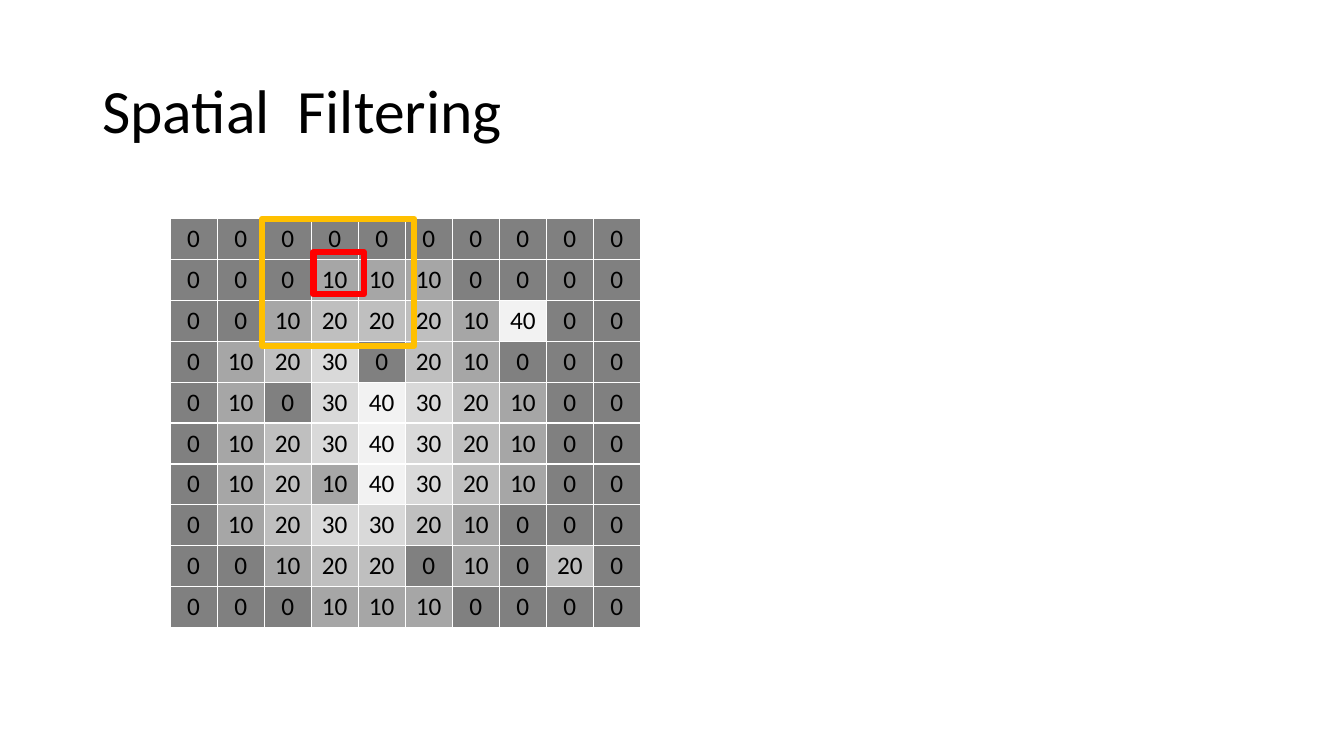
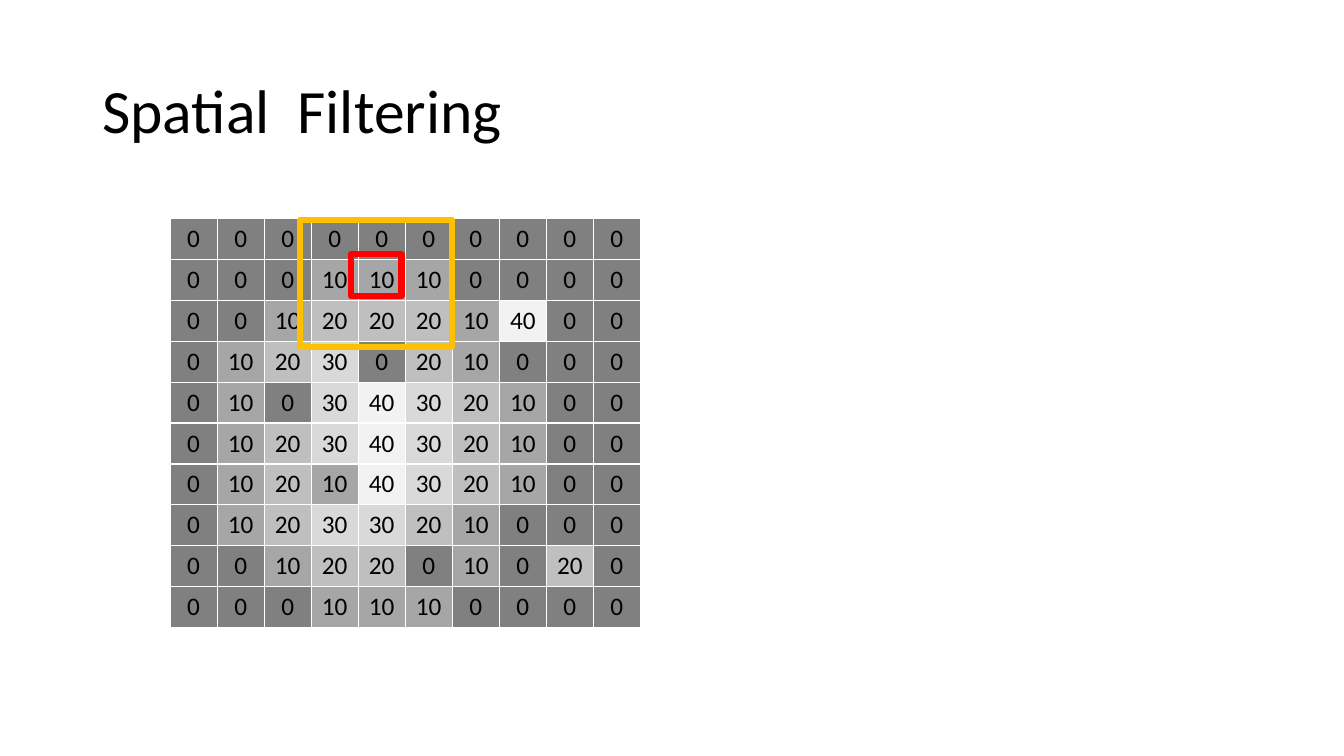
from lxml import etree
from pptx import Presentation
from pptx.dml.color import RGBColor
from pptx.enum import shapes, text
from pptx.oxml import ns
from pptx.util import Pt

FONT = "Calibri"
BLACK = RGBColor(0x00, 0x00, 0x00)
RED = RGBColor(0xFF, 0x00, 0x00)
GOLD = RGBColor(0xFF, 0xC0, 0x00)
GRAYS = {
    0: RGBColor(0x80, 0x80, 0x80),
    10: RGBColor(0xA6, 0xA6, 0xA6),
    20: RGBColor(0xBF, 0xBF, 0xBF),
    30: RGBColor(0xD9, 0xD9, 0xD9),
    40: RGBColor(0xF2, 0xF2, 0xF2),
}
PIXELS = [
    [0, 0, 0, 0, 0, 0, 0, 0, 0, 0],
    [0, 0, 0, 10, 10, 10, 0, 0, 0, 0],
    [0, 0, 10, 20, 20, 20, 10, 40, 0, 0],
    [0, 10, 20, 30, 0, 20, 10, 0, 0, 0],
    [0, 10, 0, 30, 40, 30, 20, 10, 0, 0],
    [0, 10, 20, 30, 40, 30, 20, 10, 0, 0],
    [0, 10, 20, 10, 40, 30, 20, 10, 0, 0],
    [0, 10, 20, 30, 30, 20, 10, 0, 0, 0],
    [0, 0, 10, 20, 20, 0, 10, 0, 20, 0],
    [0, 0, 0, 10, 10, 10, 0, 0, 0, 0],
]
SIZE = len(PIXELS)
COL, ROW = 33.6, 29.2

# Left and top of the red centre and the gold window on each slide
STEPS = [
    [(223.9, 180), (187.2, 156.4)],
    [(250.8, 181.4), (214.4, 157)],
]
FRAMES = [(RED, 36, 30.2), (GOLD, 108.7, 90.7)]


def style(par, size):
    par.font.name = FONT
    par.font.size = Pt(size)
    par.font.color.rgb = BLACK


def border(cell):
    props = cell._tc.get_or_add_tcPr()
    for side in ("a:lnL", "a:lnR", "a:lnT", "a:lnB"):
        line = etree.SubElement(props, ns.qn(side), w=str(Pt(1)))
        fill = etree.SubElement(line, ns.qn("a:solidFill"))
        etree.SubElement(fill, ns.qn("a:srgbClr"), val="FFFFFF")


prs = Presentation()
prs.slide_width, prs.slide_height = Pt(960), Pt(540)

for spots in STEPS:
    slide = prs.slides.add_slide(prs.slide_layouts[6])

    # Title
    box = slide.shapes.add_textbox(Pt(66), Pt(28.8), Pt(828), Pt(104.4))
    frame = box.text_frame
    frame.word_wrap = True
    frame.vertical_anchor = text.MSO_ANCHOR.MIDDLE
    title = frame.paragraphs[0]
    title.text = "Spatial  Filtering"
    title.line_spacing = 0.9
    style(title, 44)

    # Pixel grid
    grid = slide.shapes.add_table(
        SIZE, SIZE, Pt(121.5), Pt(156.2), Pt(COL * SIZE), Pt(ROW * SIZE)).table
    grid.first_row = grid.horz_banding = False
    for col in grid.columns:
        col.width = Pt(COL)
    for r, row in enumerate(PIXELS):
        grid.rows[r].height = Pt(ROW)
        for c, value in enumerate(row):
            cell = grid.cell(r, c)
            border(cell)
            cell.fill.solid()
            cell.fill.fore_color.rgb = GRAYS[value]
            par = cell.text_frame.paragraphs[0]
            par.text = str(value)
            par.alignment = text.PP_ALIGN.CENTER
            style(par, 18)

    # Filter window and its centre pixel
    for (left, top), (color, width, height) in zip(spots, FRAMES):
        rect = slide.shapes.add_shape(
            shapes.MSO_SHAPE.RECTANGLE, Pt(left), Pt(top), Pt(width), Pt(height))
        rect.shadow.inherit = False
        rect.fill.background()
        rect.line.color.rgb = color
        rect.line.width = Pt(4.5)

prs.save("out.pptx")
